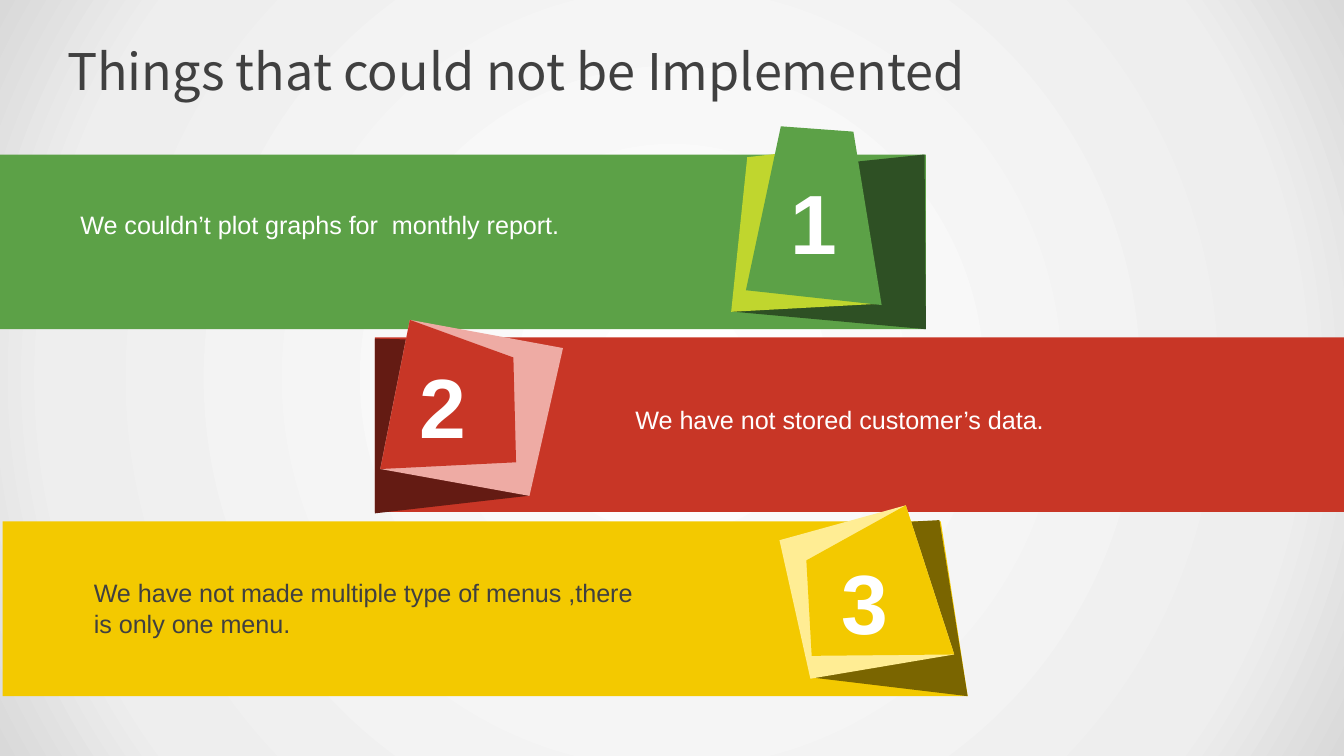
from lxml.etree import SubElement as Sub
from pptx import Presentation
from pptx.dml.color import RGBColor
from pptx.enum.shapes import MSO_SHAPE as Shape
from pptx.enum.text import MSO_ANCHOR as Anchor, MSO_AUTO_SIZE as Auto, PP_ALIGN as Align
from pptx.oxml.ns import qn
from pptx.util import Inches, Pt

WHITE = RGBColor(0xFF, 0xFF, 0xFF)
GREY = RGBColor(0x40, 0x40, 0x40)
GREEN = RGBColor(0x5C, 0xA1, 0x47)
PINE = RGBColor(0x2E, 0x50, 0x24)
LIME = RGBColor(0xC0, 0xD6, 0x2E)
RED = RGBColor(0xC8, 0x36, 0x26)
MAROON = RGBColor(0x64, 0x1B, 0x13)
PINK = RGBColor(0xEE, 0xAB, 0xA4)
YELLOW = RGBColor(0xF3, 0xC9, 0x00)
OLIVE = RGBColor(0x7A, 0x65, 0x00)
CREAM = RGBColor(0xFF, 0xED, 0x94)
EDGE = [(0, WHITE), (81, RGBColor(0xEE, 0xEE, 0xEE)), (100, RGBColor(0xD9, 0xD9, 0xD9))]

COLS, ROWS = 100, 56.25  # square grid cells, a tenth of an inch
CELL = Inches(0.1)


def cells(*nums):
    return [round(n * CELL) for n in nums]


class Deck:
    font = "Arial"
    head = "Noto Sans CJK KR"

    def __init__(self):
        self.prs = Presentation()
        self.prs.slide_width, self.prs.slide_height = cells(COLS, ROWS)
        self.slide = self.prs.slides.add_slide(self.prs.slide_layouts[5])
        self.group = None

    def glow(self, stops):
        """Radial background gradient."""
        self.slide.background.fill.solid()
        back = self.slide.element.find(".//" + qn("p:bgPr"))
        back.remove(back[0])
        grad = Sub(back, qn("a:gradFill"), rotWithShape="1")
        back.insert(0, grad)
        row = Sub(grad, qn("a:gsLst"))
        for pos, color in stops:
            stop = Sub(row, qn("a:gs"), pos=str(pos * 1000))
            Sub(stop, qn("a:srgbClr"), val=str(color))
        way = Sub(grad, qn("a:path"), path="circle")
        Sub(way, qn("a:fillToRect"), **dict.fromkeys("ltrb", "50000"))

    def label(self, frame, text, size, color, font, bold=False, align=Align.LEFT):
        para = frame.paragraphs[0]
        para.alignment = align
        run = para.add_run()
        run.text = text
        run.font.name, run.font.size, run.font.bold = font, Pt(size), bold
        run.font.color.rgb = color

    def inset(self, frame, left, top, right, low):
        frame.margin_left, frame.margin_top, frame.margin_right, frame.margin_bottom = cells(
            left, top, right, low)

    def title(self, text, *box):
        item = self.slide.shapes.title
        item.left, item.top, item.width, item.height = cells(*box)
        frame = item.text_frame
        frame.auto_size = Auto.NONE
        frame.vertical_anchor = Anchor.MIDDLE
        self.inset(frame, 0, 0.7, 0, 0.7)
        self.label(frame, text, 27, GREY, self.head)

    def start(self):
        """Open a new group for one banner."""
        self.group = self.slide.shapes.add_group_shape().shapes

    def paint(self, item, color):
        item.fill.solid()
        item.fill.fore_color.rgb = color
        item.line.fill.background()
        item.shadow.inherit = False
        return item

    def band(self, color, *box):
        self.paint(self.group.add_shape(Shape.RECTANGLE, *cells(*box)), color)

    def facet(self, color, points):
        first, *rest = [cells(*p) for p in points]
        pen = self.group.build_freeform(*first)
        pen.add_line_segments(rest, close=True)
        return self.paint(pen.convert_to_shape(), color)

    def badge(self, digit, color, points, inset):
        frame = self.facet(color, points).text_frame
        frame.vertical_anchor = Anchor.MIDDLE
        self.inset(frame, *inset)
        self.label(frame, digit, 45, WHITE, self.font, True, Align.CENTER)

    def note(self, text, color, *box):
        frame = self.group.add_textbox(*cells(*box)).text_frame
        frame.word_wrap = True
        frame.auto_size = Auto.SHAPE_TO_FIT_TEXT
        self.label(frame, text, 13.5, color, self.font)


def main():
    deck = Deck()
    deck.glow(EDGE)
    deck.title("Things that could not be Implemented", 5, 2.3, 90, 5.8)

    # Green banner
    deck.start()
    deck.band(GREEN, 0, 11.5, 68.9, 13)
    deck.facet(PINE, [(68.8, 11.5), (68.9, 24.5), (54.6, 23.2), (57.1, 16.2), (58.3, 12.6)])
    deck.facet(LIME, [(61.7, 11), (62.7, 12.6), (65.5, 22.6), (54.4, 23.2), (55.6, 11.7)])
    deck.badge("1", GREEN, [(58.1, 9.4), (63.5, 9.8), (65.6, 22.7), (55.5, 21.6)],
               (1.5, 2.3, 1.5, 1.5))
    deck.note("We couldn’t plot graphs for  monthly report.", WHITE, 5, 15.1, 42.7, 3.3)

    # Red banner
    deck.start()
    deck.band(RED, 27.9, 25.1, 72.1, 13)
    deck.facet(MAROON, [(27.9, 25.2), (27.9, 38.2), (39.3, 36.9), (37, 28.2), (35.8, 25.4)])
    deck.facet(PINK, [(30.5, 23.8), (28.3, 34.9), (39.4, 36.9), (41.9, 25.9)])
    deck.badge("2", RED, [(30.5, 23.8), (28.3, 34.9), (38.4, 34.4), (38.2, 26.6)],
               (1.5, 3, 2.3, 1.5))
    deck.note("We have not stored customer’s data.", WHITE, 46.3, 29.6, 42.7, 3.3)

    # Yellow banner
    deck.start()
    deck.facet(YELLOW, [(0.2, 38.8), (70, 38.8), (72, 51.8), (0.2, 51.8)])
    deck.facet(OLIVE, [(69.9, 38.7), (72, 51.8), (60.3, 50.4), (63.2, 41.5), (64.3, 39)])
    deck.facet(CREAM, [(67.4, 37.6), (71, 48.7), (60.3, 50.5), (58, 40.2)])
    deck.badge("3", YELLOW, [(67.4, 37.6), (71, 48.7), (60.4, 48.8), (60, 41.7)],
               (1.5, 4.5, 3.8, 1.5))
    deck.note("We have not made multiple type of menus ,there is only one menu.", GREY,
              6, 42.5, 42.7, 5.6)

    deck.prs.save("out.pptx")


if __name__ == "__main__":
    main()
